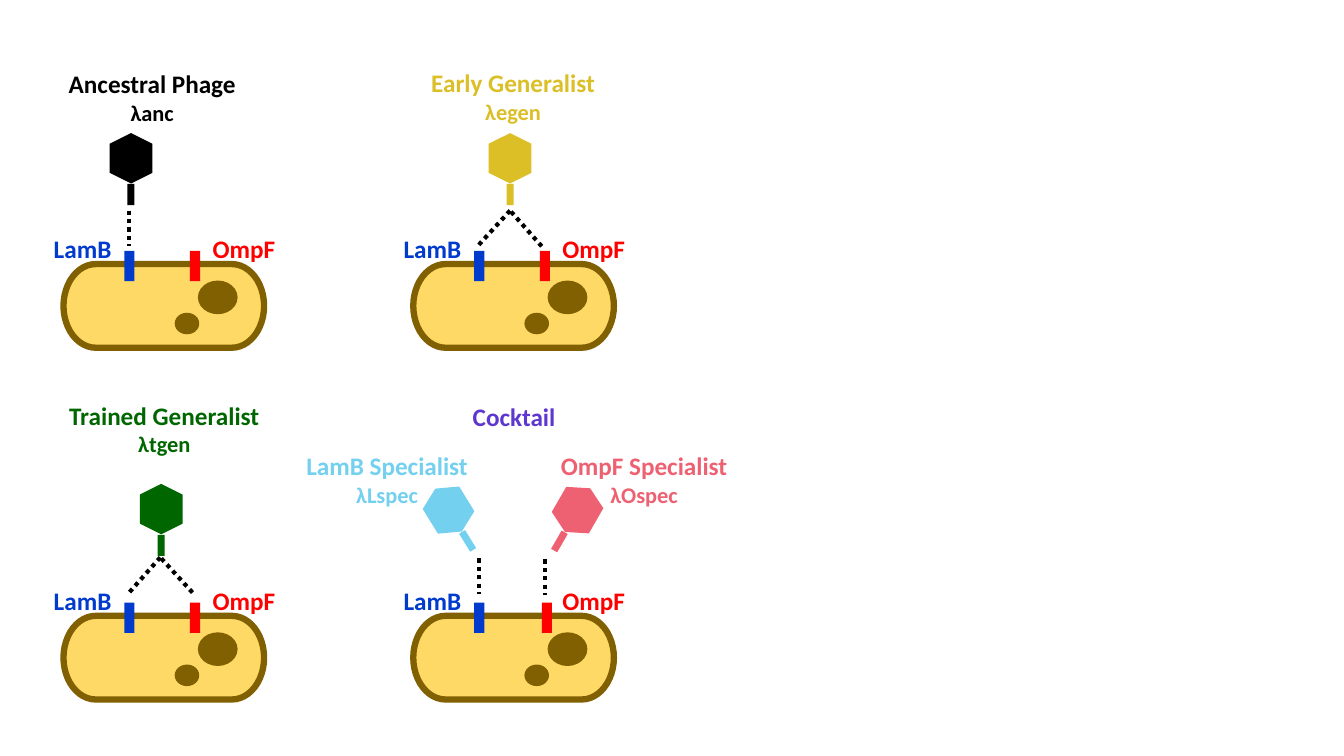
import math
from dataclasses import dataclass

import lxml.etree
import pptx
import pptx.dml.color
import pptx.enum.dml
import pptx.enum.shapes
import pptx.enum.text
import pptx.oxml.ns
import pptx.util

KIND = pptx.enum.shapes.MSO_SHAPE


@dataclass(frozen=True)
class Theme:
    font: str = "Calibri"
    name: int = 18
    strain: int = 16
    wall: float = 4.5
    rim: float = 1
    dots: float = 3
    black: str = "000000"
    blue: str = "003BCE"
    red: str = "FF0000"
    gold: str = "DCBF27"
    green: str = "006600"
    sky: str = "73D0EF"
    rose: str = "ED6172"
    purple: str = "5E37CE"
    flesh: str = "FFD966"
    brown: str = "806000"


class Stage:
    COLS, ROWS = 133.33, 75

    def __init__(self, deck, theme):
        self.theme = theme
        self.slide = deck.slides.add_slide(deck.slide_layouts[6])
        self.col = deck.slide_width / self.COLS
        self.row = deck.slide_height / self.ROWS

    def place(self, *grid):
        return [round(n * unit) for n, unit in zip(grid, (self.col, self.row) * 2)]

    def tint(self, code):
        return pptx.dml.color.RGBColor.from_string(code)

    def group(self):
        return self.slide.shapes.add_group_shape().shapes

    def shape(self, host, kind, box, fill, line=0, turn=0):
        item = host.add_shape(kind, *self.place(*box))
        item.shadow.inherit = False
        item.rotation = turn % 360
        item.fill.solid()
        item.fill.fore_color.rgb = self.tint(fill)
        if line:
            item.line.color.rgb = self.tint(self.theme.brown)
            item.line.width = pptx.util.Pt(line)
        else:
            item.line.fill.background()

    def text(self, mid, top, wide, color, name, strain=None):
        lines = [(name, self.theme.name)]
        if strain:
            lines.append((strain, self.theme.strain))
        box = self.place(mid - wide / 2, top, wide, 6.7 if strain else 4)
        frame = self.slide.shapes.add_textbox(*box).text_frame
        frame.word_wrap = True
        frame.auto_size = pptx.enum.text.MSO_AUTO_SIZE.SHAPE_TO_FIT_TEXT
        for i, (words, size) in enumerate(lines):
            para = frame.add_paragraph() if i else frame.paragraphs[0]
            para.text = words
            para.alignment = pptx.enum.text.PP_ALIGN.CENTER
            para.font.name = self.theme.font
            para.font.size = pptx.util.Pt(size)
            para.font.bold = True
            para.font.color.rgb = self.tint(color)

    def tether(self, start, end):
        link = self.slide.shapes.add_connector(
            pptx.enum.shapes.MSO_CONNECTOR.STRAIGHT, *self.place(*start, *end))
        link.line.color.rgb = self.tint(self.theme.black)
        link.line.width = pptx.util.Pt(self.theme.dots)
        link.line.dash_style = pptx.enum.dml.MSO_LINE.ROUND_DOT
        lxml.etree.SubElement(link._element.spPr, pptx.oxml.ns.qn("a:effectLst"))

    def phage(self, x, y, color, turn=0):
        host = self.group()
        angle = math.radians(turn)
        tail_x = x - 3.6 * math.sin(angle)
        tail_y = y + 3.6 * math.cos(angle)
        self.shape(host, KIND.HEXAGON, (x - 2.5, y - 2.12, 5, 4.25), color, turn=turn - 90)
        self.shape(host, KIND.RECTANGLE, (tail_x - 0.35, tail_y - 1.05, 0.7, 2.1), color, turn=turn)

    def cell(self, x, y, gap=6.5):
        look, host = self.theme, self.group()
        self.shape(host, KIND.FLOWCHART_TERMINATOR, (x, y, 19.9, 8.3), look.flesh, look.wall)
        for spot in ((x + 11.1, y + 4.9, 2.3, 2), (x + 13.4, y + 1.7, 3.8, 3.2)):
            self.shape(host, KIND.OVAL, spot, look.brown, look.rim)
        for name, color, left, mid in (("LamB", look.blue, 6.05, 1.9),
                                       ("OmpF", look.red, 6.05 + gap, 17.9)):
            self.shape(self.slide.shapes, KIND.RECTANGLE, (x + left, y - 1.3, 1, 3), color)
            self.text(x + mid, y - 3.55, 9.3, color, name)


deck = pptx.Presentation()
deck.slide_width = pptx.util.Inches(13.33)
deck.slide_height = pptx.util.Inches(7.5)
look = Theme()
stage = Stage(deck, look)

for y in (26.2, 61.1):
    for x in (6.3, 41):
        stage.cell(x, y, 6.7 if (x, y) == (41, 61.1) else 6.5)

for head in ((13, 15.7, look.black), (50.6, 15.7, look.gold), (16, 50.5, look.green),
             (44.5, 50.6, look.sky, -31.7), (57.3, 50.6, look.rose, 30)):
    stage.phage(*head)

for label in ((15.1, 6.3, 20.6, look.black, "Ancestral Phage", "λanc"),
              (50.9, 6.2, 20.6, look.gold, "Early Generalist", "λegen"),
              (16.3, 39.2, 23.4, look.green, "Trained Generalist", "λtgen"),
              (51, 39.3, 23.4, look.purple, "Cocktail"),
              (38.4, 44.2, 20.6, look.sky, "LamB Specialist", "λLspec"),
              (63.9, 44.2, 20.6, look.rose, "OmpF Specialist", "λOspec")):
    stage.text(*label)

for x, y, reach in ((12.8, 20.9, 0), (50.6, 20.9, -3.2), (50.7, 21, 3.1),
                    (15.9, 55.3, -3.1), (16, 55.4, 3.2),
                    (47.5, 55.4, 0), (54.1, 55.5, 0)):
    stage.tether((x, y), (x + reach, y + 3.5))

deck.save("out.pptx")
